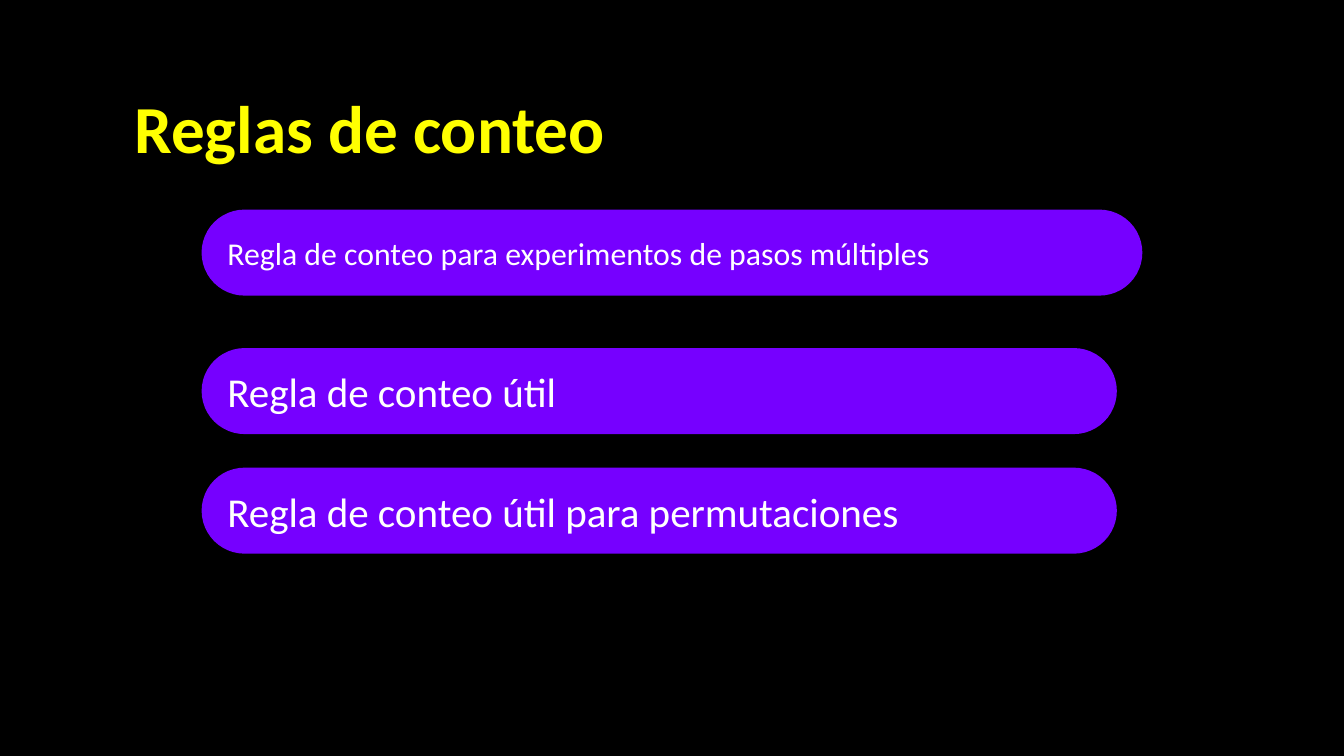
import pptx
import pptx.dml.color
import pptx.enum.shapes
import pptx.enum.text
import pptx.util

Inches = pptx.util.Inches
RGBColor = pptx.dml.color.RGBColor

BLACK = RGBColor(0x00, 0x00, 0x00)
VIOLET = RGBColor(0x76, 0x00, 0xFF)
YELLOW = RGBColor(0xFF, 0xFF, 0x01)
WHITE = RGBColor(0xFF, 0xFF, 0xFF)

SLIDE_WIDTH = 10
SLIDE_HEIGHT = SLIDE_WIDTH * 9 / 16
BAR_LEFT = 1.5
BAR_HEIGHT = 0.64

# Text, top, width, font size
RULES = [
    ("Regla de conteo para experimentos de pasos múltiples", 1.56, 7, 17),
    ("Regla de conteo útil", 2.59, 6.81, 22),
    ("Regla de conteo útil para permutaciones", 3.48, 6.81, 22),
]


def set_attributes(target, values):
    for name, value in values.items():
        setattr(target, name, value)


def write_text(shape, text, size, color, bold=False):
    """Put one left-aligned, vertically centred line of text in a shape."""
    inset = Inches(0.1)
    frame = shape.text_frame
    set_attributes(frame, {
        "word_wrap": True,
        "vertical_anchor": pptx.enum.text.MSO_ANCHOR.MIDDLE,
        "margin_left": inset,
        "margin_right": inset,
        "margin_top": inset,
        "margin_bottom": inset,
    })
    paragraph = frame.paragraphs[0]
    paragraph.alignment = pptx.enum.text.PP_ALIGN.LEFT
    run = paragraph.add_run()
    run.text = text
    set_attributes(run.font, {
        "name": "Calibri",
        "size": pptx.util.Pt(size),
        "bold": bold,
    })
    run.font.color.rgb = color


def add_title(slide, text):
    title = slide.shapes.add_textbox(
        Inches(0.9), Inches(0.32), Inches(8.02), Inches(1.25))
    write_text(title, text, 36, YELLOW, bold=True)


def add_rule_bar(slide, text, top, width, size):
    bar = slide.shapes.add_shape(
        pptx.enum.shapes.MSO_SHAPE.ROUNDED_RECTANGLE,
        Inches(BAR_LEFT), Inches(top), Inches(width), Inches(BAR_HEIGHT))
    bar.adjustments[0] = 0.5
    bar.shadow.inherit = False
    bar.fill.solid()
    bar.fill.fore_color.rgb = VIOLET
    bar.line.fill.background()
    write_text(bar, text, size, WHITE)


def main():
    presentation = pptx.Presentation()
    set_attributes(presentation, {
        "slide_width": Inches(SLIDE_WIDTH),
        "slide_height": Inches(SLIDE_HEIGHT),
    })
    slide = presentation.slides.add_slide(presentation.slide_layouts[6])
    slide.background.fill.solid()
    slide.background.fill.fore_color.rgb = BLACK

    add_title(slide, "Reglas de conteo")
    for text, top, width, size in RULES:
        add_rule_bar(slide, text, top, width, size)

    presentation.save("out.pptx")


if __name__ == "__main__":
    main()
